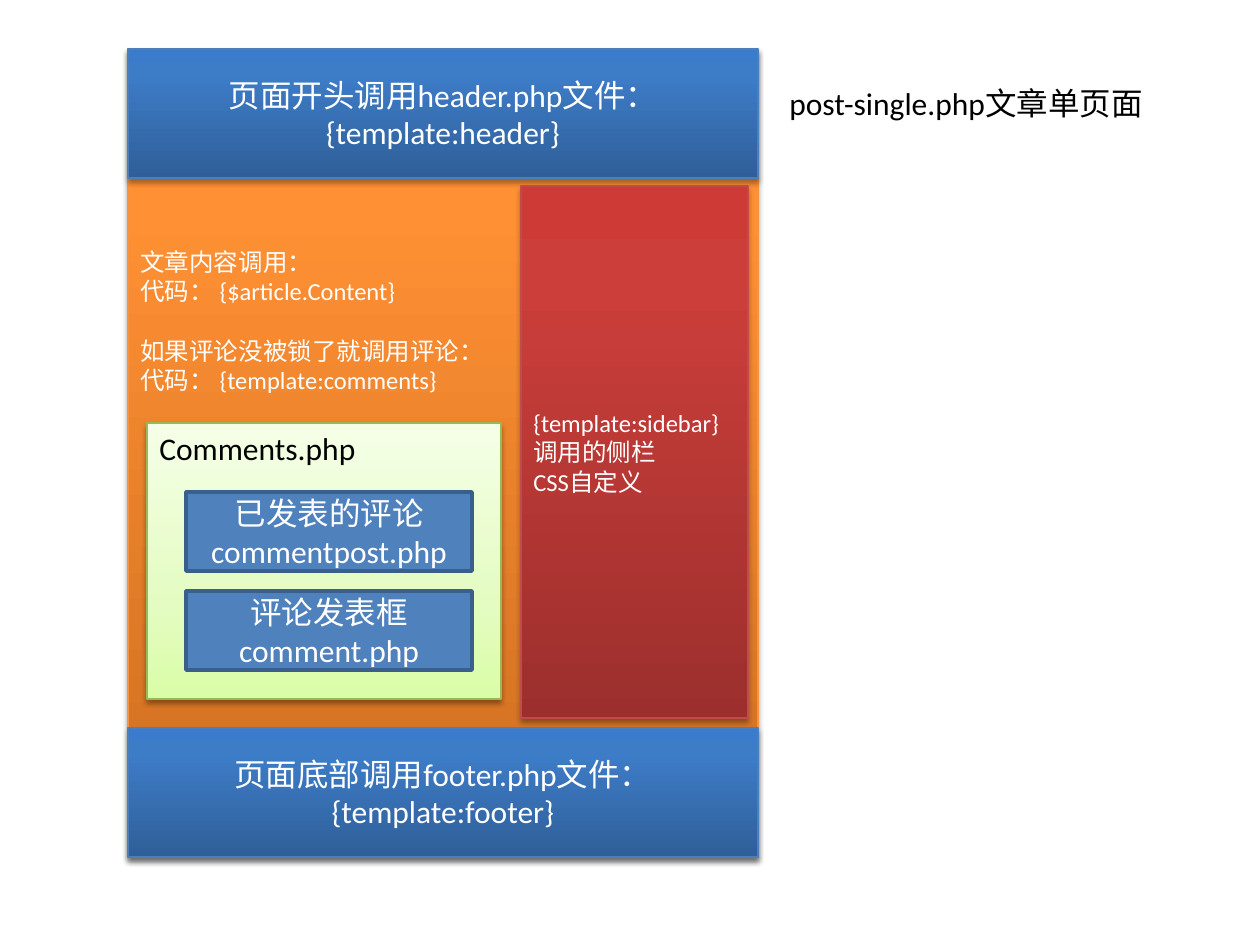
from copy import deepcopy

from lxml.etree import SubElement
from pptx import Presentation
from pptx.dml.color import RGBColor
from pptx.enum.shapes import MSO_SHAPE
from pptx.enum.text import MSO_ANCHOR as ANCHOR, PP_ALIGN as ALIGN
from pptx.oxml.ns import qn
from pptx.util import Inches, Pt

PX = Inches(1) / 126

BLUE = {"stops": [(0, "2F5F99"), (0.8, "3D7CC7"), (1, "3A7CCB")], "line": "4B7EBC"}
ORANGE = {"stops": [(0, "CC6E20"), (0.8, "FF9034"), (1, "FF9136")], "line": "F69240"}
RED = {"stops": [(0, "9C2F2D"), (0.8, "CB3E3A"), (1, "CE3B37")], "line": "BF4C48"}
GREEN = {"stops": [(0, "DAFDA7"), (0.35, "E4FCC2"), (1, "F5FFE7")], "line": "98B955",
         "shadow_alpha": 38}
FLAT = {"solid": "4F81BD", "line": "3A5F8C", "line_width": 2}


def write_text(shape, lines, size, color="FFFFFF", align=ALIGN.LEFT, anchor=ANCHOR.MIDDLE):
    frame = shape.text_frame
    frame.word_wrap = True
    frame.vertical_anchor = anchor
    frame.text = "\n".join(lines)
    for paragraph in frame.paragraphs:
        paragraph.alignment = align
        font = paragraph.runs[0].font
        for name, value in {"name": "Calibri", "size": Pt(size)}.items():
            setattr(font, name, value)
        font.color.rgb = RGBColor.from_string(color)
    return frame


def add_panel(box, style):
    """Add a rectangle; gradient panels run bottom to top and cast a soft shadow."""
    shape = slide.shapes.add_shape(MSO_SHAPE.RECTANGLE, *(round(v * PX) for v in box))
    shape.shadow.inherit = False
    shape.line.color.rgb = RGBColor.from_string(style["line"])
    shape.line.width = Pt(style.get("line_width", 0.75))
    if "solid" in style:
        shape.fill.solid()
        shape.fill.fore_color.rgb = RGBColor.from_string(style["solid"])
        return shape

    shape.fill.gradient()
    shape.fill.gradient_angle = 90
    properties = shape._element.spPr
    stop_list = properties.find(qn("a:gradFill")).find(qn("a:gsLst"))
    stop_list.append(deepcopy(stop_list[-1]))
    for stop, (position, color) in zip(shape.fill.gradient_stops, style["stops"]):
        stop.position = position
        stop.color.rgb = RGBColor.from_string(color)

    shadow = SubElement(properties.find(qn("a:effectLst")), qn("a:outerShdw"),
                        blurRad=str(Pt(3.1)), dist=str(Pt(1.8)), dir="5400000",
                        rotWithShape="0")
    black = SubElement(shadow, qn("a:srgbClr"), val="000000")
    SubElement(black, qn("a:alpha"), val=str(style.get("shadow_alpha", 35) * 1000))
    return shape


presentation = Presentation()
presentation.slide_width = Inches(10)
presentation.slide_height = Inches(7.5)
slide = presentation.slides.add_slide(presentation.slide_layouts[6])

# Page body with the article code
body = add_panel((128, 49, 630, 808), ORANGE)
frame = write_text(body, ["文章内容调用：", "代码： {$article.Content}",
                          "如果评论没被锁了就调用评论：", "代码： {template:comments}"],
                   14, anchor=ANCHOR.TOP)
frame.margin_top = round(198 * PX)
frame.paragraphs[2].space_before = Pt(17)

# Header and footer bands
for top, text in [(49, "页面开头调用header.php文件：{template:header}"),
                  (728, "页面底部调用footer.php文件：{template:footer}")]:
    write_text(add_panel((128, top, 630, 129), BLUE), [text], 18, align=ALIGN.CENTER)

sidebar = add_panel((521, 186, 227, 532), RED)
write_text(sidebar, ["{template:sidebar}调用的侧栏", "CSS自定义"], 14)

caption = slide.shapes.add_textbox(*(round(v * PX) for v in (777, 78, 394, 127)))
write_text(caption, ["post-single.php文章单页面"], 18, "000000", anchor=ANCHOR.TOP)

# Comments panel and its two templates
comments = add_panel((147, 423, 354, 276), GREEN)
write_text(comments, ["Comments.php"], 18, "000000", anchor=ANCHOR.TOP)
for index, lines in enumerate([("已发表的评论", "commentpost.php"),
                               ("评论发表框", "comment.php")]):
    template = add_panel((186, 492 + 99 * index, 286, 79), FLAT)
    write_text(template, lines, 18, align=ALIGN.CENTER)

presentation.save("out.pptx")
